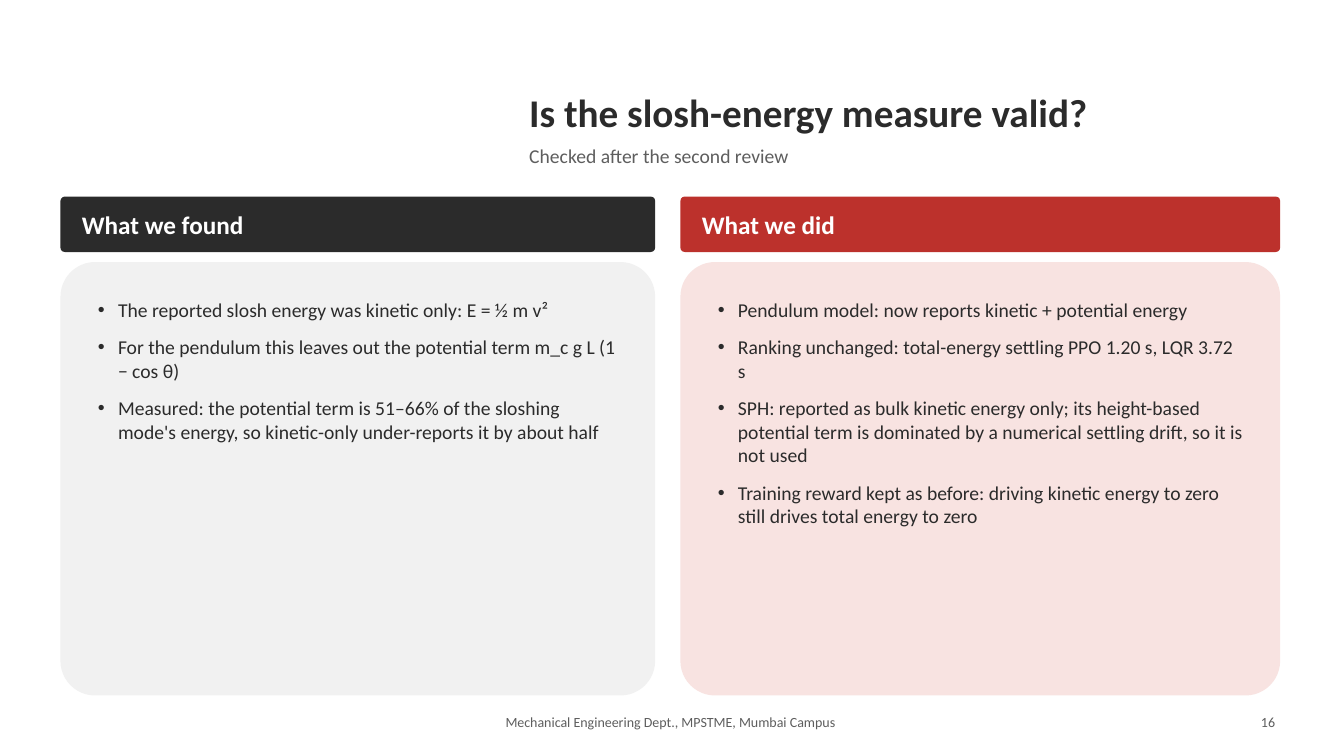
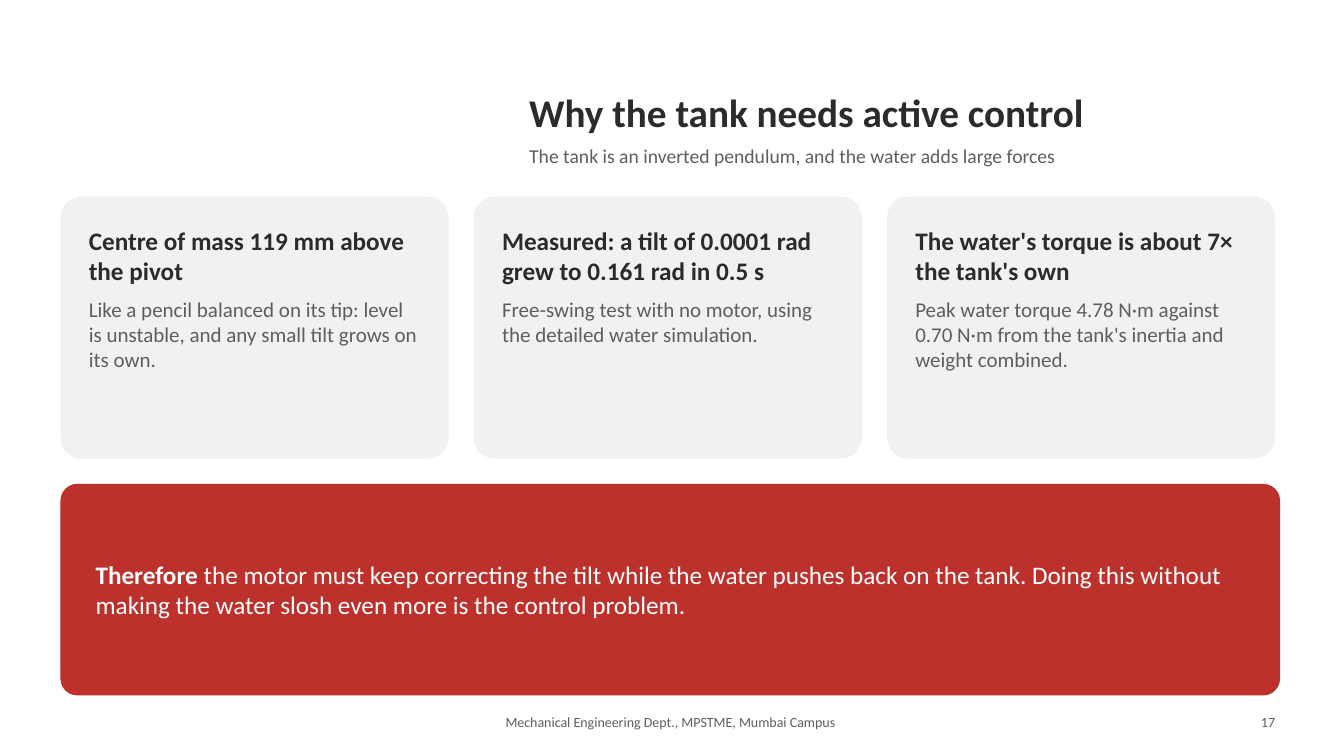
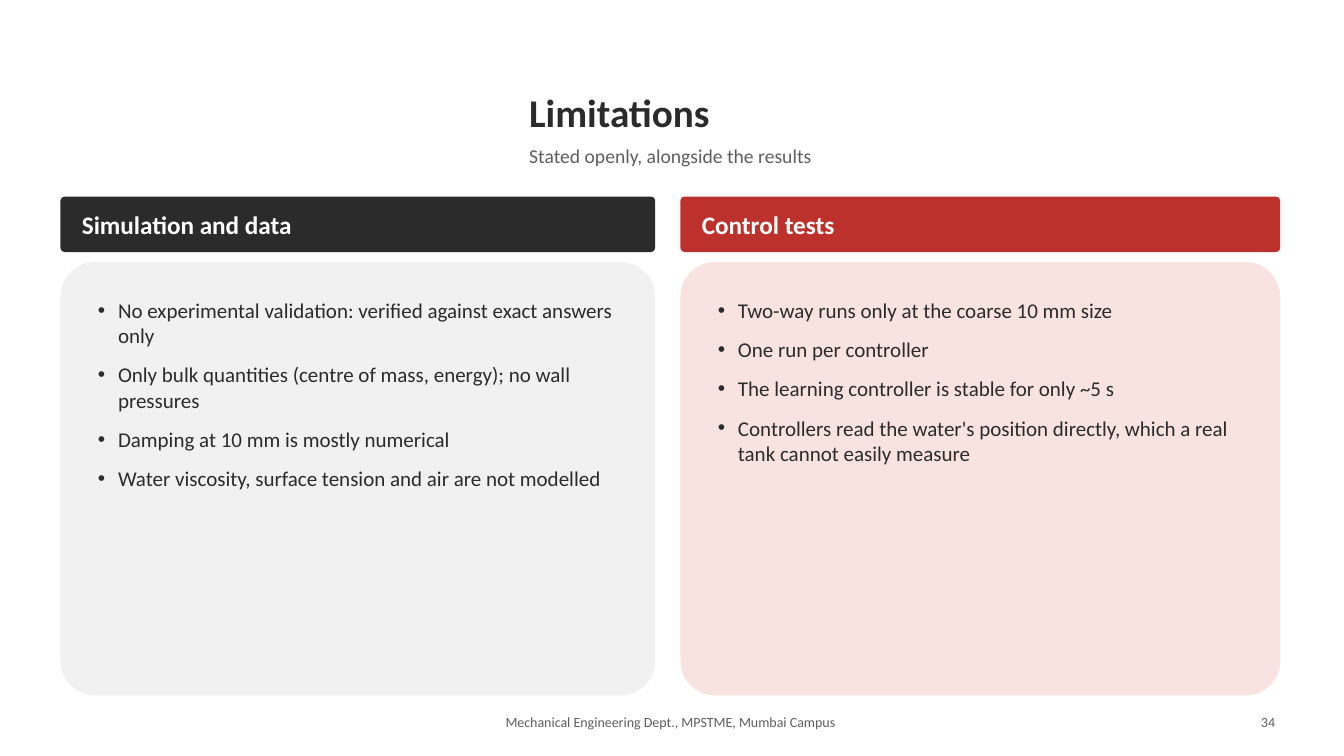
from lxml.etree import SubElement
from pptx import Presentation
from pptx.dml.color import RGBColor
from pptx.enum.shapes import MSO_SHAPE
from pptx.enum.text import MSO_ANCHOR, MSO_AUTO_SIZE, PP_ALIGN
from pptx.oxml.ns import qn
from pptx.util import Pt

# Shared look
INK = RGBColor(0x2B, 0x2B, 0x2B)
GREY = RGBColor(0x5E, 0x5E, 0x5E)
RED = RGBColor(0xBC, 0x31, 0x2C)
PALE_GREY = RGBColor(0xF1, 0xF1, 0xF1)
PALE_RED = RGBColor(0xF8, 0xE3, 0xE1)
WHITE = RGBColor(0xFF, 0xFF, 0xFF)
FONT = "Calibri"
CORNER = 0.08
TWO_CONTENT, TITLE_ONLY = 3, 5
FOOTER = "Mechanical Engineering Dept., MPSTME, Mumbai Campus"

# Grid, in points
LEFT, TOP, RIGHT, BOTTOM = 43.2, 140.4, 914.4, 496.8
GAP = 18
BAND_HEIGHT, LIST_TOP = 39.6, 187.2
COLUMNS = [(LEFT, 424.8, INK, PALE_GREY), (486, 428.4, RED, PALE_RED)]
CARD_WIDTH, CARD_HEIGHT = 277.2, 187.2
LIST_INSET = 25.25

# Content
SLIDES = [
    {
        "title": "Is the slosh-energy measure valid?",
        "subtitle": "Checked after the second review",
        "number": "16",
        "list_size": 14,
        "lists": [
            ("What we found", [
                "The reported slosh energy was kinetic only: E = ½ m v²",
                "For the pendulum this leaves out the potential term m_c g L (1 − cos θ)",
                "Measured: the potential term is 51–66% of the sloshing mode's energy, "
                "so kinetic-only under-reports it by about half",
            ]),
            ("What we did", [
                "Pendulum model: now reports kinetic + potential energy",
                "Ranking unchanged: total-energy settling PPO 1.20 s, LQR 3.72 s",
                "SPH: reported as bulk kinetic energy only; its height-based potential term "
                "is dominated by a numerical settling drift, so it is not used",
                "Training reward kept as before: driving kinetic energy to zero "
                "still drives total energy to zero",
            ]),
        ],
    },
    {
        "title": "Why the tank needs active control",
        "subtitle": "The tank is an inverted pendulum, and the water adds large forces",
        "number": "17",
        "cards": [
            ("Centre of mass 119 mm above the pivot",
             "Like a pencil balanced on its tip: level is unstable, "
             "and any small tilt grows on its own."),
            ("Measured: a tilt of 0.0001 rad grew to 0.161 rad in 0.5 s",
             "Free-swing test with no motor, using the detailed water simulation."),
            ("The water's torque is about 7× the tank's own",
             "Peak water torque 4.78 N·m against 0.70 N·m from the tank's inertia "
             "and weight combined."),
        ],
        "conclusion": (
            "Therefore ",
            "the motor must keep correcting the tilt while the water pushes back on the tank. "
            "Doing this without making the water slosh even more is the control problem."),
    },
    {
        "title": "Limitations",
        "subtitle": "Stated openly, alongside the results",
        "number": "34",
        "list_size": 15,
        "lists": [
            ("Simulation and data", [
                "No experimental validation: verified against exact answers only",
                "Only bulk quantities (centre of mass, energy); no wall pressures",
                "Damping at 10 mm is mostly numerical",
                "Water viscosity, surface tension and air are not modelled",
            ]),
            ("Control tests", [
                "Two-way runs only at the coarse 10 mm size",
                "One run per controller",
                "The learning controller is stable for only ~5 s",
                "Controllers read the water's position directly, "
                "which a real tank cannot easily measure",
            ]),
        ],
    },
]


def place(shape, left, top, width, height):
    shape.left, shape.top = Pt(left), Pt(top)
    shape.width, shape.height = Pt(width), Pt(height)


def set_frame(shape, inset, anchor=MSO_ANCHOR.TOP):
    frame = shape.text_frame
    frame.word_wrap = True
    frame.auto_size = MSO_AUTO_SIZE.NONE
    frame.vertical_anchor = anchor
    frame.margin_left = frame.margin_right = Pt(inset)
    frame.margin_top = frame.margin_bottom = Pt(inset)
    return frame


def format_paragraph(paragraph, size, color, bold=False, after=6, align=PP_ALIGN.LEFT):
    paragraph.alignment = align
    paragraph.space_before, paragraph.space_after = Pt(0), Pt(after)
    for run in paragraph.runs:
        run.font.name, run.font.size = FONT, Pt(size)
        run.font.bold, run.font.color.rgb = bold, color


def add_bullet(paragraph):
    properties = paragraph._p.get_or_add_pPr()
    properties.set("marL", str(Pt(15.84)))
    properties.set("indent", str(Pt(-14.4)))
    SubElement(properties, qn("a:buChar")).set("char", "•")


def add_text(slide, text, box, size, align=PP_ALIGN.LEFT):
    shape = slide.shapes.add_textbox(*map(Pt, box))
    frame = set_frame(shape, 3.6)
    frame.text = text
    format_paragraph(frame.paragraphs[0], size, GREY, align=align)


def add_panel(slide, box, color):
    shape = slide.shapes.add_shape(MSO_SHAPE.ROUNDED_RECTANGLE, *map(Pt, box))
    shape.adjustments[0] = CORNER
    shape.shadow.inherit = False
    shape.fill.solid()
    shape.fill.fore_color.rgb = color
    shape.line.fill.background()
    return shape


def add_base(presentation, content):
    layout = TWO_CONTENT if "lists" in content else TITLE_ONLY
    slide = presentation.slides.add_slide(presentation.slide_layouts[layout])
    title = slide.shapes.title
    place(title, 374.4, 57.6, 558, 44.64)
    frame = set_frame(title, 3.6, MSO_ANCHOR.MIDDLE)
    frame.text = content["title"]
    format_paragraph(frame.paragraphs[0], 28, INK, bold=True)
    add_text(slide, content["subtitle"], (374.4, 99.36, 558, 27.36), 14)
    add_text(slide, FOOTER, (230.4, 506.16, 496.8, 20.16), 10, PP_ALIGN.CENTER)
    add_text(slide, content["number"], (856.8, 506.16, 57.6, 20.16), 10, PP_ALIGN.RIGHT)
    return slide


def add_lists(slide, content):
    for index, (heading, items) in enumerate(content["lists"]):
        left, width, band_color, panel_color = COLUMNS[index]

        # Heading band
        band = add_panel(slide, (left, TOP, width, BAND_HEIGHT), band_color)
        frame = set_frame(band, 14.4, MSO_ANCHOR.MIDDLE)
        frame.text = heading
        format_paragraph(frame.paragraphs[0], 18, WHITE, bold=True, after=4)

        # List placeholder in front of its panel
        box = (left, LIST_TOP, width, BOTTOM - LIST_TOP)
        panel = add_panel(slide, box, panel_color)
        body = slide.placeholders[index + 1]
        place(body, *box)
        panel.element.addnext(body.element)
        frame = set_frame(body, LIST_INSET)
        frame.text = "\n".join(items)
        for paragraph in frame.paragraphs:
            add_bullet(paragraph)
            format_paragraph(paragraph, content["list_size"], INK, after=10)


def add_cards(slide, content):
    for index, texts in enumerate(content["cards"]):
        left = LEFT + index * (CARD_WIDTH + GAP)
        card = add_panel(slide, (left, TOP, CARD_WIDTH, CARD_HEIGHT), PALE_GREY)
        frame = set_frame(card, 15.84)
        frame.text = "\n".join(texts)
        heading, detail = frame.paragraphs
        format_paragraph(heading, 18, INK, bold=True, after=8)
        format_paragraph(detail, 15, GREY, after=8)

    # Conclusion panel
    top = TOP + CARD_HEIGHT + GAP
    panel = add_panel(slide, (LEFT, top, RIGHT - LEFT, BOTTOM - top), RED)
    paragraph = set_frame(panel, 21.6, MSO_ANCHOR.MIDDLE).paragraphs[0]
    for text in content["conclusion"]:
        paragraph.add_run().text = text
    format_paragraph(paragraph, 18, WHITE, after=4)
    paragraph.runs[0].font.bold = True


def main():
    presentation = Presentation()
    presentation.slide_width, presentation.slide_height = Pt(960), Pt(540)
    for content in SLIDES:
        slide = add_base(presentation, content)
        if "lists" in content:
            add_lists(slide, content)
        else:
            add_cards(slide, content)
    presentation.save("out.pptx")


if __name__ == "__main__":
    main()
